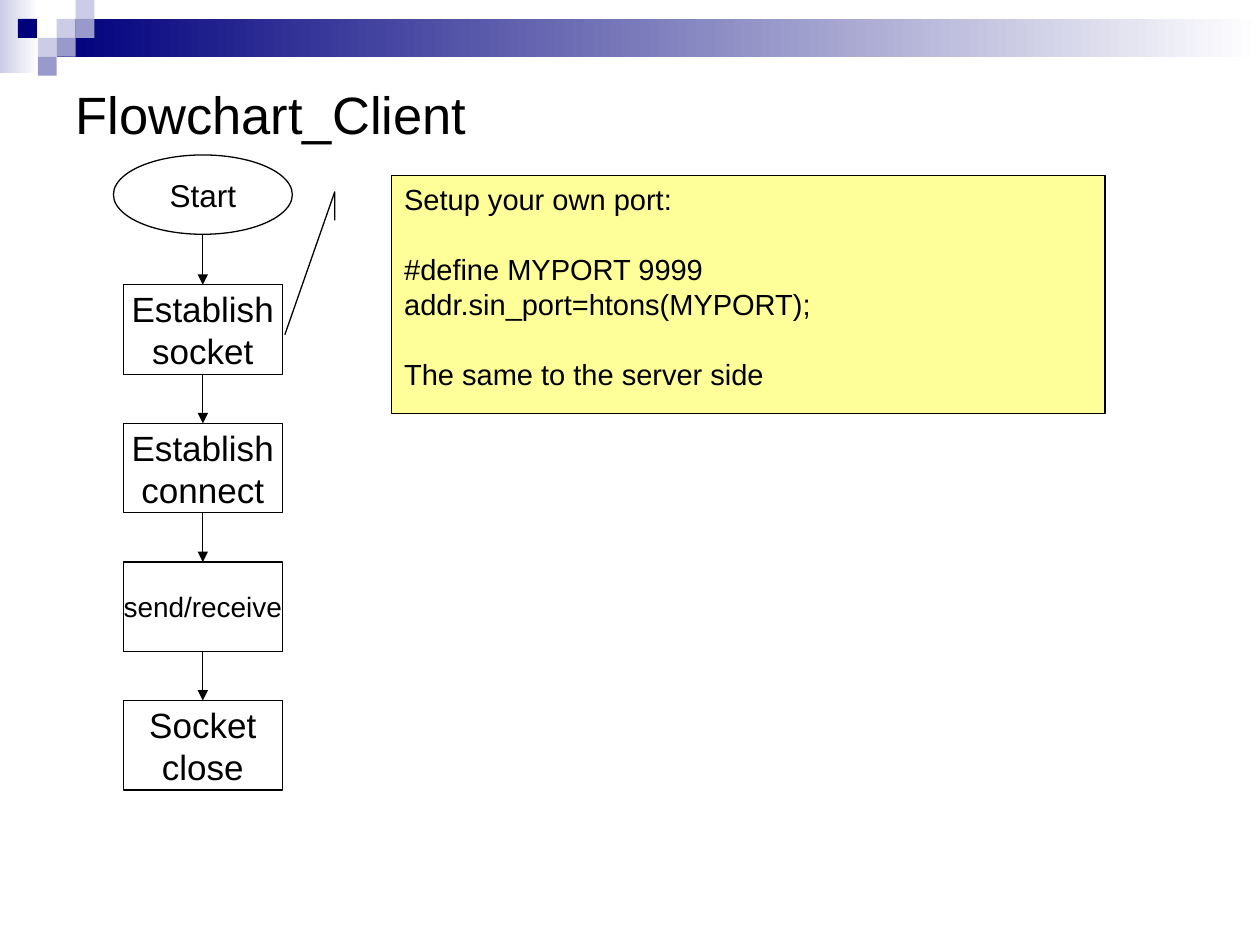
from pptx import Presentation
from pptx.dml.color import RGBColor
from pptx.enum.shapes import MSO_CONNECTOR, MSO_SHAPE
from pptx.enum.text import MSO_ANCHOR as ANCHOR, PP_ALIGN as ALIGN
from pptx.oxml.ns import qn
from pptx.util import Inches, Pt
from lxml import etree

BLACK = RGBColor(0x00, 0x00, 0x00)
WHITE = RGBColor(0xFF, 0xFF, 0xFF)
NAVY = RGBColor(0x00, 0x00, 0x7D)
LAVENDER = RGBColor(0xCC, 0xCC, 0xE6)
PERIWINKLE = RGBColor(0x99, 0x99, 0xCC)
YELLOW = RGBColor(0xFF, 0xFF, 0x99)


def write(shape, text, size, align=ALIGN.LEFT, anchor=ANCHOR.MIDDLE, wrap=True, gaps=()):
    """Write one paragraph a line; gaps lists the lines with a line's space before."""
    frame = shape.text_frame
    frame.word_wrap = wrap
    frame.vertical_anchor = anchor
    frame.text = text
    for index, paragraph in enumerate(frame.paragraphs):
        paragraph.alignment = align
        paragraph.font.name = "Arial"
        paragraph.font.size = Pt(size)
        paragraph.font.color.rgb = BLACK
        if index in gaps:
            paragraph.space_before = Pt(20)


def add_box(kind, left, top, width, height, fill, fade_to=None, outlined=True):
    box = slide.shapes.add_shape(kind, Inches(left), Inches(top), Inches(width), Inches(height))
    box.shadow.inherit = False
    if fade_to is None:
        box.fill.solid()
        box.fill.fore_color.rgb = fill
    else:
        box.fill.gradient()
        box.fill.gradient_angle = 0
        for stop, color in zip(box.fill.gradient_stops, (fill, fade_to)):
            stop.color.rgb = color
    if outlined:
        box.line.color.rgb = BLACK
        box.line.width = Pt(0.75)
    else:
        box.line.fill.background()
    return box


prs = Presentation()
prs.slide_width, prs.slide_height = Inches(10), Inches(7.5)
slide = prs.slides.add_slide(prs.slide_layouts[5])

# Header bands and mosaic of squares
add_box(MSO_SHAPE.RECTANGLE, 0, 0, 0.31, 0.58, LAVENDER, fade_to=WHITE, outlined=False)
add_box(MSO_SHAPE.RECTANGLE, 0.45, 0.15, 9.55, 0.3, NAVY, fade_to=WHITE, outlined=False)
TILE = 0.15
mosaic = [(3, 1, LAVENDER), (4, 0, LAVENDER), (4, 1, PERIWINKLE), (2, 2, LAVENDER),
          (0.95, 1, NAVY), (3, 2, PERIWINKLE), (2, 3, PERIWINKLE)]
for column, row, color in mosaic:
    add_box(MSO_SHAPE.RECTANGLE, column * TILE, row * TILE, TILE, TILE, color, outlined=False)

# Title
title = slide.shapes.title
title.left, title.top = Inches(0.5), Inches(0.5)
title.width, title.height = Inches(9), Inches(0.81)
write(title, "Flowchart_Client", 30)

# Flowchart steps
start = add_box(MSO_SHAPE.OVAL, 0.9, 1.23, 1.42, 0.63, WHITE)
write(start, "Start", 18, align=ALIGN.CENTER, wrap=False)
steps = []
for index, (label, size) in enumerate([("Establish\nsocket", 20), ("Establish\nconnect", 20),
                                       ("send/receive", 16), ("Socket\nclose", 20)]):
    step = add_box(MSO_SHAPE.FLOWCHART_PROCESS, 0.98, 2.26 + 1.1 * index, 1.26, 0.71, WHITE)
    write(step, label, size, align=ALIGN.CENTER, wrap=False)
    steps.append(step)

# Arrows from each step to the next
for source, target in zip([start] + steps, steps):
    arrow = slide.shapes.add_connector(
        MSO_CONNECTOR.STRAIGHT, source.left + source.width // 2, source.top + source.height,
        target.left + target.width // 2, target.top)
    if source is not start:
        arrow.begin_connect(source, 2)
    arrow.end_connect(target, 0)
    arrow.line.color.rgb = BLACK
    arrow.line.width = Pt(0.75)
    etree.SubElement(arrow.line._get_or_add_ln(), qn("a:tailEnd"), type="triangle")
    etree.SubElement(arrow._element.spPr, qn("a:effectLst"))

# Callout on the port setup
port_note = add_box(MSO_SHAPE.LINE_CALLOUT_2, 3.11, 1.39, 5.66, 1.89, YELLOW)
for index, value in enumerate((0.19, -0.08, 0.07, -0.08, 0.67, -0.15)):
    port_note.adjustments[index] = value
write(port_note, "Setup your own port:\n#define MYPORT 9999\naddr.sin_port=htons(MYPORT);\n"
      "The same to the server side", 16.6, anchor=ANCHOR.TOP, gaps=(1, 3))

prs.save("out.pptx")
